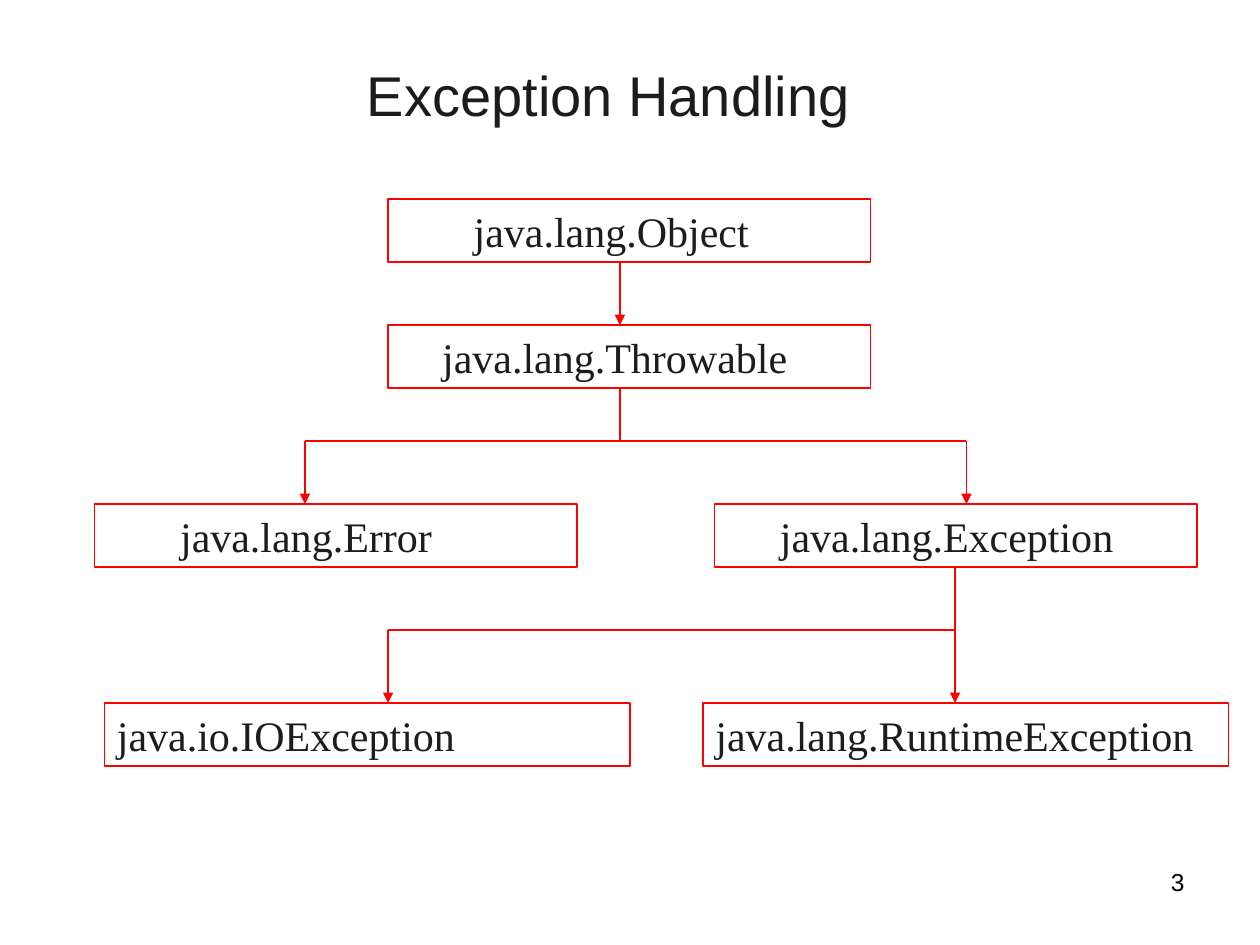
from pptx import Presentation, util as u
from pptx.dml.color import RGBColor
from pptx.enum import shapes, text
from pptx.oxml.ns import qn
from lxml import etree

RED, INK, BLACK = "FF0000", "1C1C1C", "000000"


def color(value):
    return RGBColor.from_string(value)


def write(shape, words, font, size, ink, align, anchor, indent=0):
    """Fill a shape with one formatted line; indent adds to its left margin."""
    frame = shape.text_frame
    layout = {
        "word_wrap": True,
        "vertical_anchor": anchor,
        "margin_left": u.Inches(0.1 + indent),
        "margin_right": u.Inches(0.1),
        "margin_top": u.Inches(0.05),
        "margin_bottom": u.Inches(0.05),
    }
    for name, value in layout.items():
        setattr(frame, name, value)
    para = frame.paragraphs[0]
    para.alignment = align
    span = para.add_run()
    span.text = words
    for name, value in {"name": font, "size": u.Pt(size)}.items():
        setattr(span.font, name, value)
    span.font.color.rgb = color(ink)


deck = Presentation()
deck.slide_width, deck.slide_height = u.Inches(10), u.Inches(7.5)
page = deck.slides.add_slide(deck.slide_layouts[6])
ALIGN, ANCHOR = text.PP_ALIGN, text.MSO_ANCHOR

# Title and page number
labels = [
    ("Exception Handling", (0.58, 0.25, 8.5, 1), 32, INK, ALIGN.CENTER, ANCHOR.MIDDLE),
    ("3", (7.17, 6.83, 2.33, 0.52), 14, BLACK, ALIGN.RIGHT, ANCHOR.TOP),
]
for words, place, size, ink, align, anchor in labels:
    box = page.shapes.add_textbox(*map(u.Inches, place))
    write(box, words, "Arial", size, ink, align, anchor)

# Class boxes: name, left, top, width, text indent
BOX_HEIGHT = 0.5
classes = [
    ("java.lang.Object", 3.08, 1.58, 3.83, 0.58),
    ("java.lang.Throwable", 3.08, 2.58, 3.83, 0.33),
    ("java.lang.Error", 0.75, 4, 3.83, 0.58),
    ("java.lang.Exception", 5.67, 4, 3.83, 0.42),
    ("java.io.IOException", 0.83, 5.58, 4.17, 0),
    ("java.lang.RuntimeException", 5.58, 5.58, 4.17, 0),
]
for words, left, top, width, indent in classes:
    place = map(u.Inches, (left, top, width, BOX_HEIGHT))
    box = page.shapes.add_shape(shapes.MSO_SHAPE.RECTANGLE, *place)
    box.shadow.inherit = False
    box.fill.background()
    box.line.color.rgb = color(RED)
    box.line.width = u.Pt(0.75)
    write(box, words, "Times New Roman", 24, INK, ALIGN.LEFT, ANCHOR.TOP, indent)

# Inheritance lines: start x, start y, end x, end y, arrowhead
TRUNK, ERROR, EXCEPTION, RUNTIME, IO = 4.92, 2.42, 7.67, 7.58, 3.08
links = [
    (TRUNK, 2.08, TRUNK, 2.58, True),
    (TRUNK, 3.08, TRUNK, 3.5, False),
    (TRUNK, 3.5, ERROR, 3.5, False),
    (TRUNK, 3.5, EXCEPTION, 3.5, False),
    (ERROR, 3.5, ERROR, 4, True),
    (EXCEPTION, 3.5, EXCEPTION, 4, True),
    (RUNTIME, 4.5, RUNTIME, 5.58, True),
    (RUNTIME, 5, IO, 5, False),
    (IO, 5, IO, 5.58, True),
]
for *ends, arrow in links:
    link = page.shapes.add_connector(shapes.MSO_CONNECTOR.STRAIGHT, *map(u.Inches, ends))
    link.line.color.rgb = color(RED)
    link.line.width = u.Pt(0.75)
    if arrow:
        etree.SubElement(link.line._get_or_add_ln(), qn("a:tailEnd"), type="triangle")
    etree.SubElement(link._element.spPr, qn("a:effectLst"))

deck.save("out.pptx")
